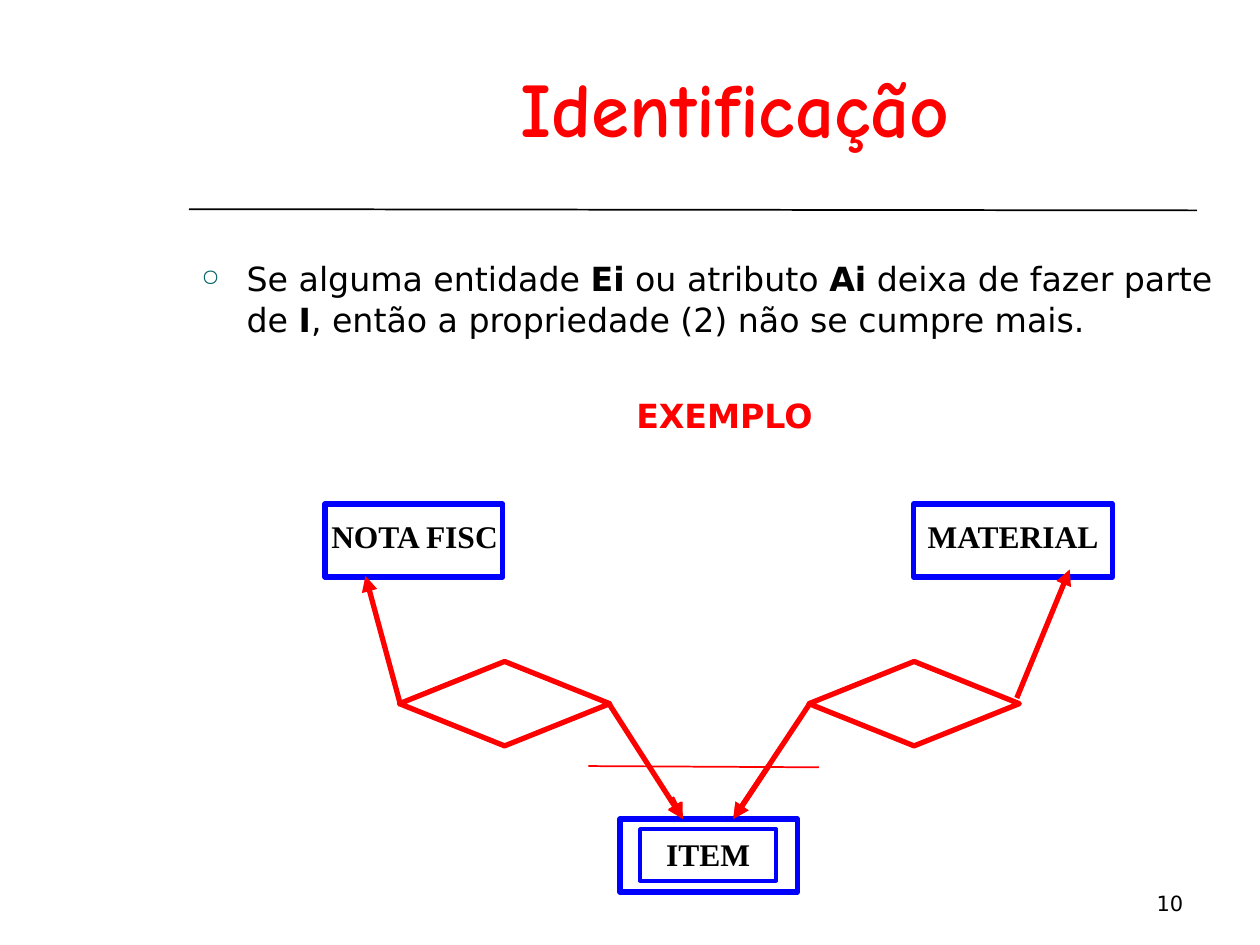
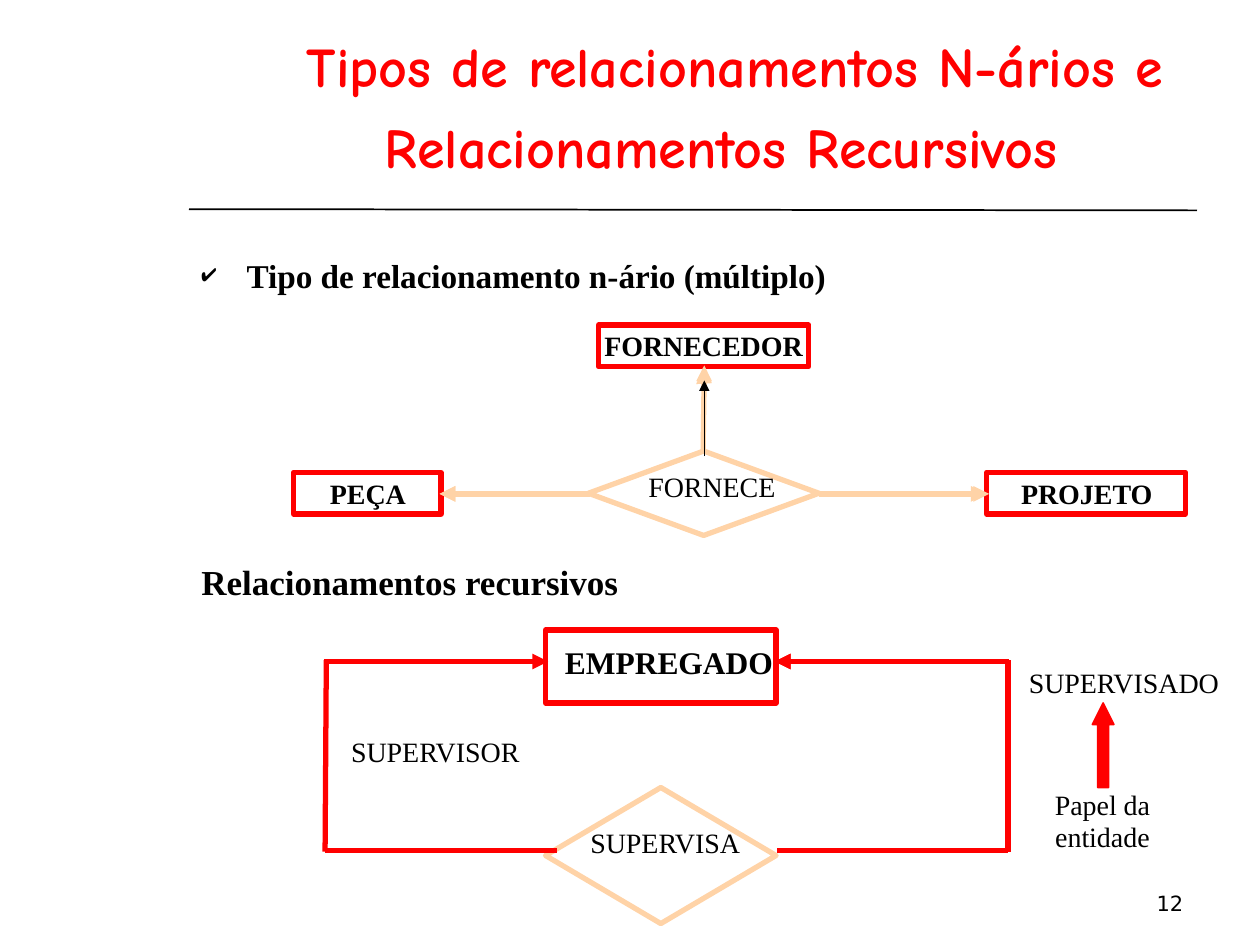
"""Build two slides on entity identification and relationship types."""
from typing import NamedTuple

from lxml.etree import SubElement
from pptx import Presentation
from pptx.dml.color import RGBColor
from pptx.enum.shapes import MSO_CONNECTOR, MSO_SHAPE
from pptx.enum.text import MSO_ANCHOR, PP_ALIGN
from pptx.oxml.ns import qn
from pptx.util import Emu, Pt

PX = 9144
RECT, DIAMOND = MSO_SHAPE.RECTANGLE, MSO_SHAPE.DIAMOND
CHOICE, UP = MSO_SHAPE.FLOWCHART_DECISION, MSO_SHAPE.UP_ARROW
LINE = MSO_CONNECTOR.STRAIGHT
LEFT, MID, RIGHT = PP_ALIGN.LEFT, PP_ALIGN.CENTER, PP_ALIGN.RIGHT
TOP, BOTTOM = MSO_ANCHOR.TOP, MSO_ANCHOR.BOTTOM
RED, BLUE, PEACH = "FF0000", "0000FF", "FFD3A7"
BLACK, TEAL = "000000", "006666"
TITLE, SANS, SERIF = "Comic Neue", "DejaVu Sans", "Times New Roman"

Box = tuple[int, int, int, int]


class Style(NamedTuple):
    """Look of a paragraph."""
    size: int
    face: str = SERIF
    bold: bool | None = True
    color: str = BLACK
    align: PP_ALIGN = MID
    space: float = 0.95


class Label(NamedTuple):
    """Text with its place and style."""
    text: str
    box: Box
    style: Style


class Form(NamedTuple):
    """Outlined shape."""
    kind: MSO_SHAPE
    box: Box
    color: str
    width: float = 3


class Link(NamedTuple):
    """Line from one point to another, with an arrowhead at its end."""
    ends: Box
    color: str = RED
    width: float = 3
    arrow: bool = True


HEAD = Style(44, TITLE, color=RED, space=0.93)
HEAD_SMALL = HEAD._replace(size=32)
FOOT = Style(12, SANS, False, align=RIGHT, space=1.01)
BODY = Style(19, SANS, None, align=LEFT, space=1.01)
SAMPLE = BODY._replace(bold=True, color=RED, align=MID)
POINT = Style(19, align=LEFT)
SECTION = Style(20, align=LEFT)
NAME = Style(18)
NODE = Style(16)
ROLE = Style(16, bold=False)

RULE = Link((150, 166, 950, 167), BLACK, 1, False)
PAGE = (717, 683, 232, 49)

ID_FORMS = [
    Form(RECT, (258, 400, 141, 58), BLUE),
    Form(RECT, (725, 400, 158, 58), BLUE),
    Form(RECT, (492, 650, 141, 58), BLUE),
    Form(RECT, (508, 658, 108, 41), BLUE, 2.25),
    Form(CHOICE, (317, 525, 167, 67), RED),
    Form(CHOICE, (642, 525, 167, 67), RED),
]
ID_LABELS = [
    Label("Identificação", (175, 50, 817, 78), HEAD),
    Label("NOTA FISC", (250, 408, 158, 39), NAME),
    Label("MATERIAL", (725, 408, 158, 39), NAME),
    Label("ITEM", (483, 660, 158, 39), NAME),
]
ID_LINKS = [
    Link((318, 560, 290, 457)),
    Link((807, 554, 849, 452)),
    Link((483, 558, 542, 650)),
    Link((643, 558, 582, 650)),
    Link((610, 608, 582, 650)),
    Link((533, 633, 542, 650)),
    Link((467, 608, 650, 609), RED, 1, False),
]

TYPE_FORMS = [
    Form(RECT, (475, 258, 167, 33), RED),
    Form(RECT, (233, 375, 117, 33), RED),
    Form(RECT, (783, 375, 158, 33), RED),
    Form(DIAMOND, (467, 358, 183, 67), PEACH),
    Form(DIAMOND, (433, 625, 183, 108), PEACH),
    Form(RECT, (433, 500, 183, 58), RED),
]
TYPE_LABELS = [
    Label("FORNECEDOR", (467, 258, 183, 36), NODE),
    Label("PEÇA", (242, 375, 100, 36), NODE),
    Label("PROJETO", (775, 375, 175, 36), NODE),
    Label("FORNECE", (500, 370, 130, 36), ROLE),
    Label("Relacionamentos recursivos", (150, 442, 850, 42), SECTION),
    Label("SUPERVISA", (453, 652, 150, 36), ROLE),
    Label("EMPREGADO", (433, 508, 196, 39), NAME),
    Label("SUPERVISOR", (258, 580, 175, 36), ROLE),
    Label("SUPERVISADO", (800, 525, 184, 36), ROLE),
    Label("Papel da entidade", (800, 622, 150, 61), ROLE),
]
TYPE_LINKS = [
    Link((468, 392, 349, 392), PEACH),
    Link((650, 392, 783, 392), PEACH),
    Link((558, 360, 559, 290), PEACH),
    Link((559, 308, 558, 292), PEACH),
    Link((368, 392, 349, 392), PEACH),
    Link((765, 392, 785, 392), PEACH),
    Link((617, 675, 800, 675), arrow=False),
    Link((258, 675, 442, 675), arrow=False),
    Link((258, 676, 259, 524), arrow=False),
    Link((800, 676, 800, 524), arrow=False),
    Link((257, 525, 435, 525)),
    Link((801, 525, 615, 525)),
    Link((635, 525, 615, 525)),
    Link((559, 362, 559, 302), BLACK, 0.75),
]


def emu(box: Box) -> list[Emu]:
    """Turn px lengths into EMU."""
    return [Emu(n * PX) for n in box]


def rgb(code: str) -> RGBColor:
    """Turn a hex string into a colour."""
    return RGBColor.from_string(code)


def add_frame(slide, box: Box, anchor: MSO_ANCHOR = TOP):
    """Add a wrapping text box and return its frame."""
    frame = slide.shapes.add_textbox(*emu(box)).text_frame
    frame.word_wrap = True
    frame.vertical_anchor = anchor
    return frame


def set_style(para, style: Style) -> None:
    """Apply a style to a paragraph."""
    para.alignment = style.align
    para.line_spacing = style.space
    font = para.font
    font.size, font.name, font.bold = Pt(style.size), style.face, style.bold
    font.color.rgb = rgb(style.color)


def add_bullet(para, mark: str, color: str) -> None:
    """Give a paragraph a hanging bullet."""
    props = para._p.get_or_add_pPr()
    props.set("marL", str(36 * PX))
    props.set("indent", str(-36 * PX))
    SubElement(SubElement(props, qn("a:buClr")), qn("a:srgbClr")).set("val", color)
    SubElement(props, qn("a:buSzPct")).set("val", "70000")
    SubElement(props, qn("a:buChar")).set("char", mark)


def add_label(slide, label: Label, anchor: MSO_ANCHOR = TOP):
    """Add one styled paragraph and return it."""
    para = add_frame(slide, label.box, anchor).paragraphs[0]
    para.add_run().text = label.text
    set_style(para, label.style)
    return para


def add_form(slide, form: Form):
    """Add an outlined shape and return it."""
    shape = slide.shapes.add_shape(form.kind, *emu(form.box))
    shape.shadow.inherit = False
    shape.fill.background()
    shape.line.color.rgb = rgb(form.color)
    shape.line.width = Pt(form.width)
    return shape


def add_link(slide, link: Link) -> None:
    """Add a line, with an arrowhead when asked."""
    line = slide.shapes.add_connector(LINE, *emu(link.ends))
    line.line.color.rgb = rgb(link.color)
    line.line.width = Pt(link.width)
    props = line.element.spPr
    if link.arrow:
        SubElement(props.find(qn("a:ln")), qn("a:tailEnd")).set("type", "triangle")
    SubElement(props, qn("a:effectLst"))


def add_slide(deck, page: str, forms: list[Form], labels: list[Label],
              links: list[Link]):
    """Add a slide with its rule, diagram and page number."""
    slide = deck.slides.add_slide(deck.slide_layouts[6])
    add_link(slide, RULE)
    for form in forms:
        add_form(slide, form)
    for label in labels:
        add_label(slide, label)
    for link in links:
        add_link(slide, link)
    add_label(slide, Label(page, PAGE, FOOT), BOTTOM)
    return slide


def add_ident(deck) -> None:
    """Build the identification slide."""
    slide = add_slide(deck, "10", ID_FORMS, ID_LABELS, ID_LINKS)
    frame = add_frame(slide, (150, 200, 850, 189))
    para = frame.paragraphs[0]
    parts = ["Se alguma entidade ", "Ei", " ou atributo ", "Ai",
             " deixa de fazer parte de ", "I",
             ", então a propriedade (2) não se cumpre mais."]
    for spot, part in enumerate(parts):
        run = para.add_run()
        run.text = part
        run.font.bold = spot % 2 == 1
    add_bullet(para, "○", TEAL)
    set_style(para, BODY)
    para = frame.add_paragraph()
    para.text = "EXEMPLO"
    para.space_before = Pt(32)
    set_style(para, SAMPLE)


def add_types(deck) -> None:
    """Build the relationship types slide."""
    slide = add_slide(deck, "12", TYPE_FORMS, TYPE_LABELS, TYPE_LINKS)
    text = "Tipos de relacionamentos N-ários e Relacionamentos Recursivos"
    para = add_label(slide, Label(text, (175, 25, 817, 128), HEAD_SMALL))
    tail = para.add_run()
    tail.text = " "
    tail.font.size = Pt(HEAD.size)
    para = add_frame(slide, (150, 200, 850, 42)).paragraphs[0]
    para.text = "Tipo de relacionamento n-ário (múltiplo)"
    add_bullet(para, "✔", BLACK)
    set_style(para, POINT)
    arrow = add_form(slide, Form(UP, (867, 558, 17, 67), RED, 1))
    arrow.fill.solid()
    arrow.fill.fore_color.rgb = rgb(RED)
    arrow.adjustments[0], arrow.adjustments[1] = 0.5, 1


def main() -> None:
    """Build and save the deck."""
    deck = Presentation()
    deck.slide_width, deck.slide_height = Emu(1000 * PX), Emu(750 * PX)
    add_ident(deck)
    add_types(deck)
    deck.save("out.pptx")


if __name__ == "__main__":
    main()
